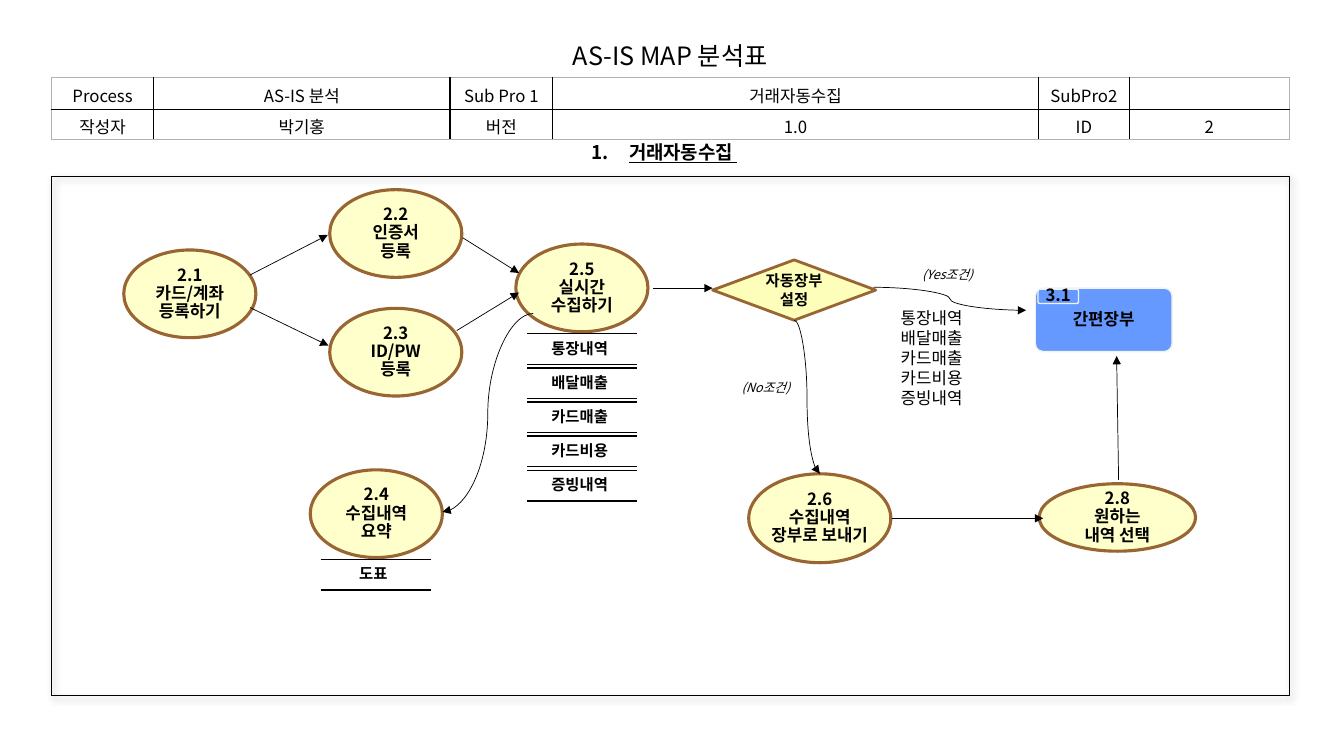
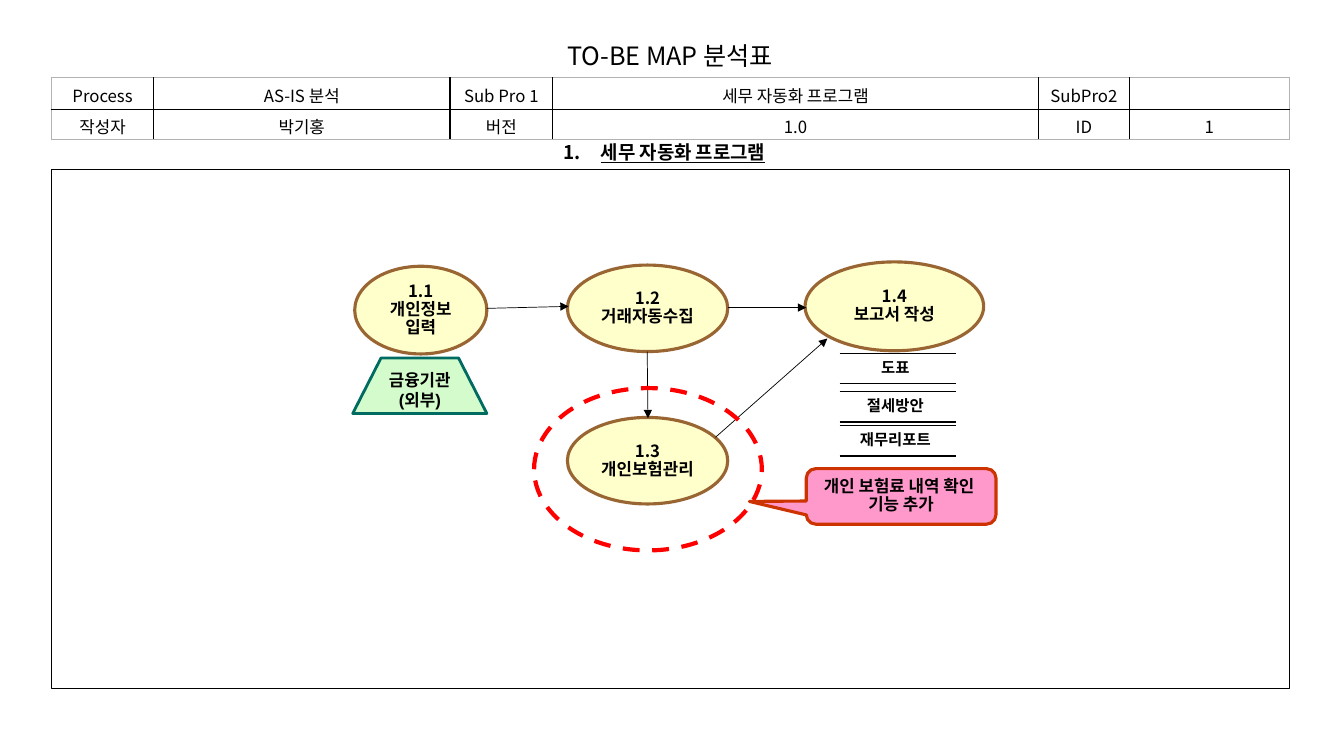
from dataclasses import dataclass

from lxml.etree import SubElement
from pptx import Presentation
from pptx.dml.color import RGBColor
from pptx.enum.dml import MSO_LINE_DASH_STYLE as Dash
from pptx.enum.shapes import MSO_CONNECTOR as Link, MSO_SHAPE as Shape
from pptx.enum.text import MSO_ANCHOR as Anchor, PP_ALIGN as Align
from pptx.oxml.ns import qn
from pptx.util import Cm, Pt


@dataclass(frozen=True)
class Theme:
    font: str = "Noto Sans CJK KR"
    accent_font: str = "Arial"
    ink: str = "000000"
    paper: str = "FFFFFF"
    grid_edge: str = "B2B2B2"
    process: tuple = ("FFFFCC", "996633", 2.25)
    decision: tuple = ("FCFEB9", "996633", 2)
    module: tuple = ("6699FF", "F1F2F2", 1)
    agency: tuple = ("D4FBCC", "006B61", 2)
    remark: tuple = ("FF99CC", "CC3300", 2.25)
    highlight: tuple = (None, "FF0000", 3)
    frame: tuple = (None, "000000", 0.75)
    title_size: float = 18
    heading_size: float = 13.5
    body_size: float = 12
    store_size: float = 11
    note_size: float = 9


THEME = Theme()
HEADER_COLUMNS = (2.57, 7.47, 2.59, 12.24, 2.29, 4.03)
HEADER_ROWS = (0.79, 0.74)
NODE_SIZE = (3.33, 2.21)


class MapDeck:
    """Holds the style and the slide being drawn; boxes are (x, y, w, h) in cm."""

    def __init__(self, theme):
        self.theme = theme
        self.deck = Presentation()
        self.deck.slide_width, self.deck.slide_height = Cm(33.87), Cm(19.05)
        self.slide = None

    # Text
    def set_text(self, frame, text, size, bold=False, italic=False, underline=False,
                 align=Align.CENTER, spacing=None, font=None):
        frame.text = text
        for paragraph in frame.paragraphs:
            paragraph.alignment = align
            if spacing:
                paragraph.line_spacing = spacing
            for run in paragraph.runs:
                style = run.font
                style.size, style.bold, style.italic = Pt(size), bold, italic
                style.underline = underline
                style.color.rgb = RGBColor.from_string(self.theme.ink)
                style.name = font or self.theme.font
                SubElement(run._r.get_or_add_rPr(), qn("a:ea"), typeface=self.theme.font)

    def set_insets(self, frame, across, down):
        frame.margin_left = frame.margin_right = Cm(across)
        frame.margin_top = frame.margin_bottom = Cm(down)

    def text(self, box, text, size, insets=(0.33, 0.18), **style):
        frame = self.slide.shapes.add_textbox(*map(Cm, box)).text_frame
        frame.word_wrap = True
        self.set_insets(frame, *insets)
        self.set_text(frame, text, size, **style)
        return frame

    # Tables
    def edge(self, cell, side, color, width):
        line = SubElement(cell._tc.get_or_add_tcPr(), qn(f"a:ln{side}"), w=str(Pt(width)))
        fill = SubElement(line, qn("a:solidFill"))
        SubElement(fill, qn("a:srgbClr"), val=color)

    def table(self, origin, widths, heights, rows, size, edge_color, inner_color):
        box = (*origin, sum(widths), sum(heights))
        table = self.slide.shapes.add_table(len(rows), len(widths), *map(Cm, box)).table
        table.first_row = table.horz_banding = False
        for column, width in zip(table.columns, widths):
            column.width = Cm(width)
        for row, height in zip(table.rows, heights):
            row.height = Cm(height)
        last_row, last_column = len(rows) - 1, len(widths) - 1
        for r, row in enumerate(rows):
            for c, words in enumerate(row):
                cell = table.cell(r, c)
                outer = {"L": c == 0, "R": c == last_column, "T": r == 0, "B": r == last_row}
                for side, is_outer in outer.items():
                    self.edge(cell, side, edge_color if is_outer else inner_color, 1)
                cell.fill.solid()
                cell.fill.fore_color.rgb = RGBColor.from_string(self.theme.paper)
                cell.vertical_anchor = Anchor.MIDDLE
                self.set_text(cell.text_frame, words, size)
                if not words:
                    SubElement(cell.text_frame.paragraphs[0]._p, qn("a:endParaRPr"),
                               sz=str(int(size * 100)))

    # Shapes
    def shape(self, kind, box, look, text="", size=None, insets=(0, 0), wrap=True,
              spacing=0.9, adjust=(), font=None):
        fill, line, width = look
        shape = self.slide.shapes.add_shape(kind, *map(Cm, box))
        shape.shadow.inherit = False
        for index, value in enumerate(adjust):
            shape.adjustments[index] = value
        if fill:
            shape.fill.solid()
            shape.fill.fore_color.rgb = RGBColor.from_string(fill)
        else:
            shape.fill.background()
        shape.line.color.rgb = RGBColor.from_string(line)
        shape.line.width = Pt(width)
        if text:
            frame = shape.text_frame
            frame.word_wrap, frame.vertical_anchor = wrap, Anchor.MIDDLE
            self.set_insets(frame, *insets)
            self.set_text(frame, text, size or self.theme.body_size, bold=True,
                          spacing=spacing, font=font)
        return shape

    def process(self, x, y, text, size=NODE_SIZE):
        return self.shape(Shape.OVAL, (x, y, *size), self.theme.process, text)

    def frame(self, y, shadow=False):
        frame = self.shape(Shape.RECTANGLE, (1.3, y, 31.19, 13.08), self.theme.frame)
        if shadow:
            effects = frame._element.spPr.find(qn("a:effectLst"))
            cast = SubElement(effects, qn("a:outerShdw"), blurRad=str(Pt(5)),
                              dist=str(Pt(3)), dir="2700000", algn="tl", rotWithShape="0")
            color = SubElement(cast, qn("a:srgbClr"), val=self.theme.ink)
            SubElement(color, qn("a:alpha"), val="40000")

    # Lines
    def line(self, start, end, width=1, kind=Link.STRAIGHT, arrow=False):
        line = self.slide.shapes.add_connector(kind, *map(Cm, (*start, *end)))
        line.line.color.rgb = RGBColor.from_string(self.theme.ink)
        line.line.width = Pt(width)
        properties = line._element.spPr
        if arrow:
            SubElement(properties.find(qn("a:ln")), qn("a:tailEnd"), type="triangle")
        SubElement(properties, qn("a:effectLst"))
        return line

    def arrow(self, start, end, kind=Link.STRAIGHT):
        return self.line(start, end, 0.5, kind, arrow=True)

    def store(self, x, y, text, width=2.77, height=0.77):
        for level in (y, y + height):
            self.line((x, level), (x + width, level))
        self.text((x, y, width - 0.11, height + 0.07), text, self.theme.store_size,
                  bold=True, spacing=0.9)

    # Parts common to every map
    def start(self, title, subject, number, heading):
        theme = self.theme
        self.slide = self.deck.slides.add_slide(self.deck.slide_layouts[6])
        frame = self.text((4.04, 3.45, 25.4, 0.76), heading, theme.heading_size,
                          insets=(0.3, 0.15), bold=True, underline=True)
        frame.word_wrap, frame.vertical_anchor = False, Anchor.MIDDLE
        numbering = frame.paragraphs[0]._p.get_or_add_pPr()
        numbering.set("marL", str(Cm(0.95)))
        numbering.set("indent", str(-Cm(0.95)))
        SubElement(numbering, qn("a:buAutoNum"), type="arabicPeriod")
        self.table((7.72, 0.79), (18.34,), (1.02,), [[title]], theme.title_size,
                   theme.paper, theme.paper)
        self.table((1.3, 1.96), HEADER_COLUMNS, HEADER_ROWS, [
            ["Process", "AS-IS 분석", "Sub Pro 1", subject, "SubPro2", ""],
            ["작성자", "박기홍", "버전", "1.0", "ID", number],
        ], theme.body_size, theme.grid_edge, theme.ink)


def draw_as_is(deck):
    theme = deck.theme
    deck.start("AS-IS MAP 분석표", "거래자동수집", "2", "거래자동수집 ")
    deck.frame(4.45, shadow=True)

    # Processes
    for x, y, text in (
        (3.12, 6.3, "2.1\n카드/계좌\n등록하기"),
        (8.31, 4.78, "2.2\n인증서\n등록"),
        (8.31, 7.77, "2.3\nID/PW\n등록"),
        (7.82, 11.84, "2.4\n수집내역\n요약"),
        (13, 6.15, "2.5\n실시간\n수집하기"),
    ):
        deck.process(x, y, text)
    send = deck.process(18.87, 11.94, "2.6\n수집내역 장부로 보내기", (3.58, 2.24))
    deck.process(26.19, 12.19, "2.8\n원하는\n내역 선택", (3.94, 1.7))

    # Data stores
    records = ("통장내역", "배달매출", "카드매출", "카드비용", "증빙내역")
    for index, record in enumerate(records):
        deck.store(13.28, 8.41 + 0.86 * index, record)
    deck.store(8.08, 14.1, "도표")

    # Decision and its branches
    decision = deck.shape(Shape.FLOWCHART_DECISION, (17.96, 6.55, 4.11, 1.52),
                          theme.decision, "자동장부\n설정", theme.store_size, spacing=None)
    no_branch = deck.arrow((20, 8.07), (20.66, 11.94), Link.CURVE)
    no_branch.begin_connect(decision, 2)
    no_branch.end_connect(send, 0)
    deck.arrow((22.02, 7.24), (25.86, 7.82), Link.CURVE)
    for box, label in (((18.36, 9.4, 2.31, 0.71), "(No조건)"),
                       ((22.91, 6.55, 2.34, 0.71), "(Yes조건)")):
        deck.text(box, label, theme.note_size, italic=True, align=Align.LEFT)
    deck.text((22.45, 7.62, 3.63, 2.82), "\n".join(records), theme.body_size,
              insets=(0.25, 0.13), align=Align.LEFT)

    # Simple ledger
    deck.shape(Shape.ROUNDED_RECTANGLE, (26.09, 7.26, 3.45, 1.6), theme.module,
               "간편장부", insets=(0.1, 0.1), adjust=(0.125,))
    deck.shape(Shape.ROUNDED_RECTANGLE, (26.16, 7.29, 1.02, 0.36), theme.module,
               "3.1", insets=(0.2, 0.1), wrap=False, adjust=(0.125,))

    # Flow
    for start, end in (
        ((6.3, 6.93), (8.26, 5.92)),
        ((6.3, 7.75), (8.28, 8.71)),
        ((11.66, 5.99), (13.08, 6.88)),
        ((11.51, 8.33), (13.08, 7.37)),
        ((16.46, 7.26), (17.96, 7.26)),
        ((22.48, 13.06), (26.29, 13.06)),
        ((28.19, 12.09), (28.14, 8.97)),
    ):
        deck.arrow(start, end)
    deck.arrow((13.44, 7.9), (11.15, 12.9), Link.CURVE)


def draw_to_be(deck):
    theme = deck.theme
    deck.start("TO-BE MAP 분석표", "세무 자동화 프로그램", "1", "세무 자동화 프로그램")
    deck.frame(4.27)

    # Processes
    deck.process(8.94, 6.71, "1.1\n개인정보\n입력")
    deck.process(14.3, 6.68, "1.2\n거래자동수집", (4.04, 2.18))
    deck.process(14.3, 10.52, "1.3\n개인보험관리", (4.04, 2.18))
    deck.process(20.29, 6.6, "1.4\n보고서 작성", (4.5, 2.24))
    deck.shape(Shape.TRAPEZOID, (8.89, 9.02, 3.38, 1.4), theme.agency, "금융기관\n(외부)",
               spacing=None, adjust=(0.51,), font=theme.accent_font)

    # Data stores
    for y, report in ((8.9, "도표"), (9.86, "절세방안"), (10.72, "재무리포트")):
        deck.store(21.16, y, report, width=2.92)

    # Flow
    for start, end in (
        ((12.27, 7.77), (14.33, 7.72)),
        ((18.34, 7.75), (20.32, 7.75)),
        ((16.31, 8.86), (16.33, 10.54)),
        ((18.03, 11.02), (20.85, 8.53)),
    ):
        deck.arrow(start, end)

    # Added feature
    ring = deck.shape(Shape.OVAL, (13.46, 9.78, 5.74, 4.09), theme.highlight)
    ring.line.dash_style = Dash.DASH
    deck.shape(Shape.ROUNDED_RECTANGULAR_CALLOUT, (20.32, 11.81, 4.78, 1.4), theme.remark,
               "개인 보험료 내역 확인 \n기능 추가", adjust=(-0.8, 0.09, 0.17),
               font=theme.accent_font)


def main():
    maps = MapDeck(THEME)
    draw_as_is(maps)
    draw_to_be(maps)
    maps.deck.save("out.pptx")


if __name__ == "__main__":
    main()
